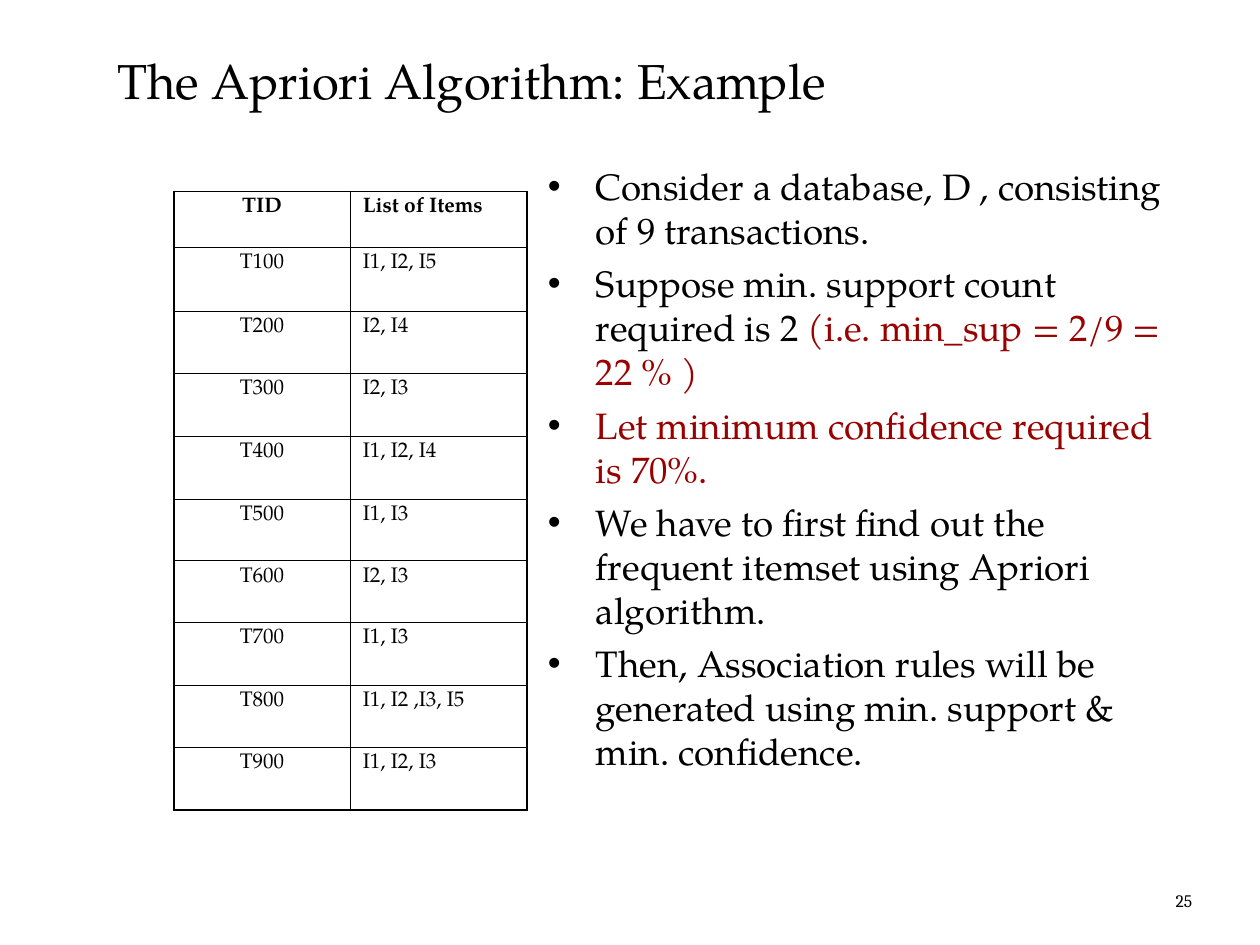
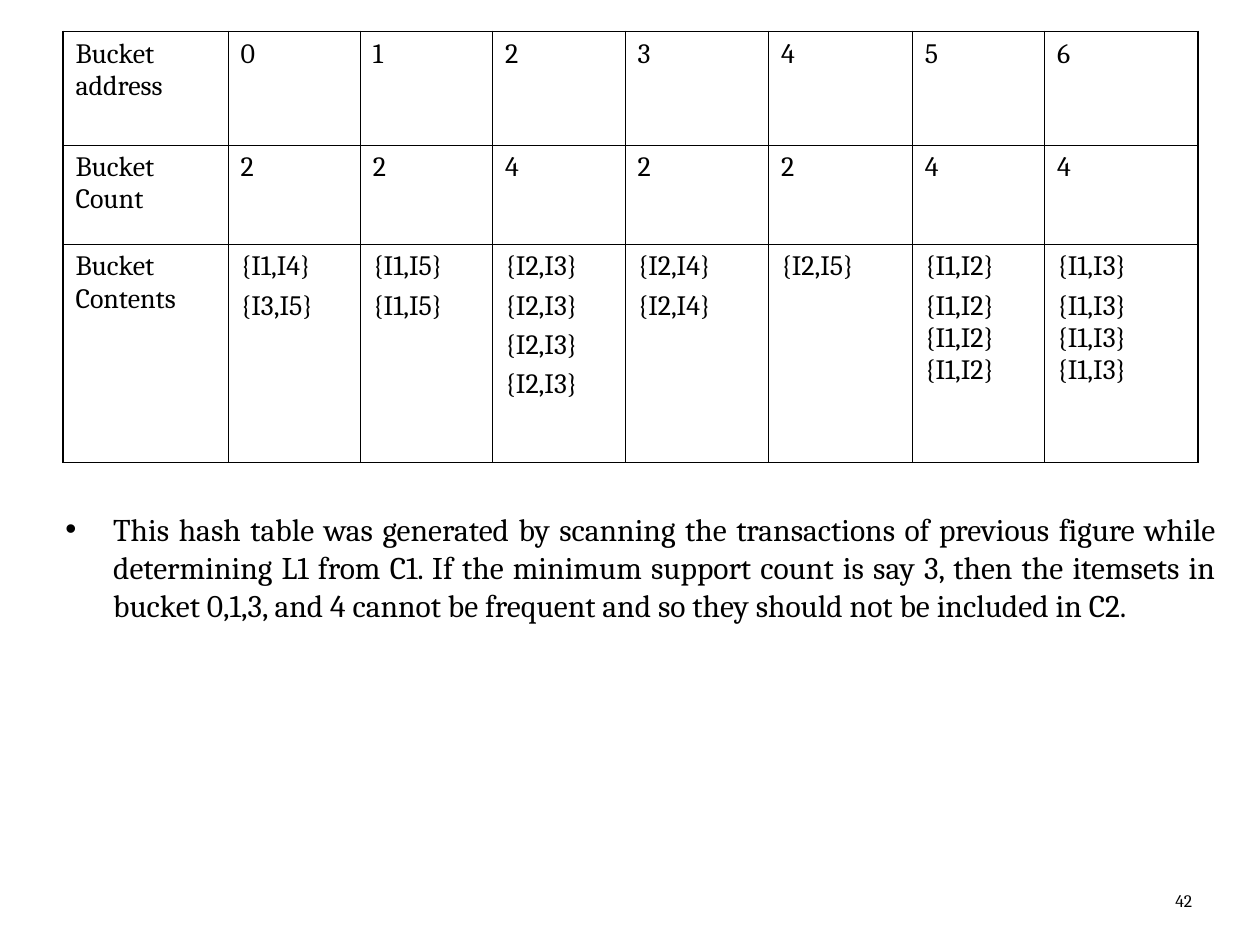
"""Build two slides on the Apriori algorithm: a transaction example and its hash table."""
from dataclasses import dataclass

import lxml.etree
import pptx
import pptx.dml.color
import pptx.enum.text
import pptx.oxml.ns
import pptx.util

EMU_PER_PX = 9144
SERIF = "TeX Gyre Pagella"
BODY = "Cambria"
BLACK = "000000"
RED = "990000"
OUTER_LINE = 1.08
INNER_LINE = 0.45
BULLET_INDENT = 38
ALIGN = pptx.enum.text.PP_ALIGN
ANCHOR = pptx.enum.text.MSO_ANCHOR


@dataclass(frozen=True)
class Box:
    left: int
    top: int
    width: int
    height: int


@dataclass(frozen=True)
class Style:
    size: float
    font: str
    align: ALIGN = ALIGN.LEFT
    space_before: float = 0
    bold: bool = False


@dataclass(frozen=True)
class Span:
    text: str
    color: str = BLACK


@dataclass(frozen=True)
class Grid:
    left: int
    top: int
    columns: list[int]
    rows: list[int]
    cells: list[list[str]]


TITLE_BOX = Box(83, 25, 850, 67)
TITLE_STYLE = Style(28, SERIF)
NUMBER_BOX = Box(748, 690, 208, 38)
NUMBER_STYLE = Style(10, BODY, ALIGN.RIGHT)

TRANSACTIONS = Grid(
    138, 152, [140, 140], [44, 51, 49, 50, 50, 49, 49, 50, 49, 50],
    [
        ["TID", "List of Items"],
        ["T100", "I1, I2, I5"],
        ["T200", "I2, I4"],
        ["T300", "I2, I3"],
        ["T400", "I1, I2, I4"],
        ["T500", "I1, I3"],
        ["T600", "I2, I3"],
        ["T700", "I1, I3"],
        ["T800", "I1, I2 ,I3, I5"],
        ["T900", "I1, I2, I3"],
    ],
)
BUCKETS = Grid(
    50, 25, [131, 105, 105, 105, 114, 114, 105, 122], [90, 79, 173],
    [
        ["Bucket address", "0", "1", "2", "3", "4", "5", "6"],
        ["Bucket Count", "2", "2", "4", "2", "2", "4", "4"],
        [
            "Bucket Contents",
            "{I1,I4}\n{I3,I5}",
            "{I1,I5}\n{I1,I5}",
            "{I2,I3}\n{I2,I3}\n{I2,I3}\n{I2,I3}",
            "{I2,I4}\n{I2,I4}",
            "{I2,I5}",
            "{I1,I2}\n{I1,I2} {I1,I2}{I1,I2}",
            "{I1,I3}\n{I1,I3} {I1,I3} {I1,I3}",
        ],
    ],
)
EXAMPLE_POINTS = [
    [Span("Consider a database, D , consisting of 9 transactions.")],
    [
        Span("Suppose min. support count required is 2 "),
        Span("(i.e. min_sup = 2/9 = 22 % )", RED),
    ],
    [Span("Let minimum confidence required is 70%.", RED)],
    [Span("We have to first find out the frequent itemset using Apriori algorithm.")],
    [Span("Then, Association rules will be generated using min. support & min. confidence.")],
]
HASH_POINTS = [
    [
        Span(
            "This hash table was generated by scanning the transactions of previous figure "
            "while determining L1 from C1. If the minimum support count is say 3, then the "
            "itemsets in bucket 0,1,3, and 4 cannot be frequent and so they should not be "
            "included in C2."
        )
    ],
]


def px(length: int) -> pptx.util.Emu:
    """Turn pixels into EMU."""
    return pptx.util.Emu(length * EMU_PER_PX)


def rgb(value: str) -> pptx.dml.color.RGBColor:
    """Turn a hex string into a colour."""
    return pptx.dml.color.RGBColor.from_string(value)


def add_element(parent, tag: str, **attributes: str):
    """Append a DrawingML element to its parent."""
    return lxml.etree.SubElement(parent, pptx.oxml.ns.qn(tag), attributes)


def format_run(run, style: Style, color: str = BLACK) -> None:
    """Apply font, size, weight and colour to a run."""
    run.font.name = style.font
    run.font.size = pptx.util.Pt(style.size)
    run.font.bold = style.bold
    run.font.color.rgb = rgb(color)


def format_frame(frame, style: Style) -> None:
    """Format every paragraph of a frame, with space between paragraphs only."""
    for index, para in enumerate(frame.paragraphs):
        para.alignment = style.align
        para.space_before = pptx.util.Pt(style.space_before if index else 0)
        for run in para.runs:
            format_run(run, style)


def add_bullet(para) -> None:
    """Give a paragraph a hanging round bullet."""
    properties = para._p.get_or_add_pPr()
    indent = px(BULLET_INDENT)
    properties.set("marL", str(indent))
    properties.set("indent", str(-indent))
    add_element(add_element(properties, "a:buClr"), "a:srgbClr", val=BLACK)
    add_element(properties, "a:buFont", typeface="Arial")
    add_element(properties, "a:buChar", char="•")


def add_text_box(page, box: Box, anchor: ANCHOR = ANCHOR.TOP):
    """Add a wrapping text box and return its frame."""
    shape = page.shapes.add_textbox(px(box.left), px(box.top), px(box.width), px(box.height))
    frame = shape.text_frame
    frame.word_wrap = True
    frame.vertical_anchor = anchor
    return frame


def add_points(page, box: Box, points: list[list[Span]], style: Style) -> None:
    """Add a bulleted list whose spans may differ in colour."""
    frame = add_text_box(page, box)
    for index, spans in enumerate(points):
        para = frame.add_paragraph() if index else frame.paragraphs[0]
        add_bullet(para)
        for span in spans:
            para.add_run().text = span.text
    format_frame(frame, style)
    for para, spans in zip(frame.paragraphs, points):
        for run, span in zip(para.runs, spans):
            run.font.color.rgb = rgb(span.color)


def add_number(page, number: int) -> None:
    """Add the page number at the lower right."""
    frame = add_text_box(page, NUMBER_BOX, ANCHOR.BOTTOM)
    frame.text = str(number)
    format_frame(frame, NUMBER_STYLE)


def set_title(page, text: str) -> None:
    """Place and format the title placeholder."""
    title = page.shapes.title
    title.left, title.top = px(TITLE_BOX.left), px(TITLE_BOX.top)
    title.width, title.height = px(TITLE_BOX.width), px(TITLE_BOX.height)
    frame = title.text_frame
    frame.text = text
    frame.auto_size = pptx.enum.text.MSO_AUTO_SIZE.NONE
    frame.vertical_anchor = ANCHOR.BOTTOM
    format_frame(frame, TITLE_STYLE)


def set_borders(cell, outer_sides: dict[str, bool]) -> None:
    """Draw the four borders of a cell, heavier on the table's outer edge."""
    properties = cell._tc.get_or_add_tcPr()
    for position, (side, is_outer) in enumerate(outer_sides.items()):
        width = pptx.util.Pt(OUTER_LINE if is_outer else INNER_LINE)
        line = add_element(properties, f"a:ln{side}", w=str(width))
        add_element(add_element(line, "a:solidFill"), "a:srgbClr", val=BLACK)
        properties.insert(position, line)


def add_grid(page, grid: Grid, header: list[Style], body: list[Style]) -> None:
    """Add a bordered table with one style per column for header and body."""
    row_count, column_count = len(grid.rows), len(grid.columns)
    table = page.shapes.add_table(
        row_count, column_count, px(grid.left), px(grid.top),
        px(sum(grid.columns)), px(sum(grid.rows)),
    ).table
    table.first_row = False
    table.horz_banding = False
    for column, width in zip(table.columns, grid.columns):
        column.width = px(width)
    for row_index, (row, height) in enumerate(zip(table.rows, grid.rows)):
        row.height = px(height)
        styles = body if row_index else header
        for column_index, cell in enumerate(row.cells):
            cell.text = grid.cells[row_index][column_index]
            format_frame(cell.text_frame, styles[column_index])
            cell.fill.background()
            set_borders(cell, {
                "L": column_index == 0,
                "R": column_index == column_count - 1,
                "T": row_index == 0,
                "B": row_index == row_count - 1,
            })


def build_example(deck) -> None:
    """Build the slide with the transaction database."""
    page = deck.slides.add_slide(deck.slide_layouts.get_by_name("Title Only"))
    add_number(page, 25)
    set_title(page, "The Apriori Algorithm: Example")
    add_points(page, Box(425, 125, 525, 558), EXAMPLE_POINTS, Style(21, SERIF, space_before=5.2))
    header, body = (
        [Style(12, SERIF, align, bold=bold) for align in (ALIGN.CENTER, ALIGN.LEFT)]
        for bold in (True, False)
    )
    add_grid(page, TRANSACTIONS, header, body)


def build_hash_table(deck) -> None:
    """Build the slide with the hash buckets."""
    page = deck.slides.add_slide(deck.slide_layouts.get_by_name("Blank"))
    add_number(page, 42)
    add_points(page, Box(42, 400, 933, 200), HASH_POINTS, Style(18, BODY, ALIGN.JUSTIFY))
    styles = [Style(16, BODY, space_before=4)] * len(BUCKETS.columns)
    add_grid(page, BUCKETS, styles, styles)


def main() -> None:
    """Build and save the deck."""
    deck = pptx.Presentation()
    deck.slide_width, deck.slide_height = px(1000), px(750)
    build_example(deck)
    build_hash_table(deck)
    deck.save("out.pptx")


if __name__ == "__main__":
    main()
